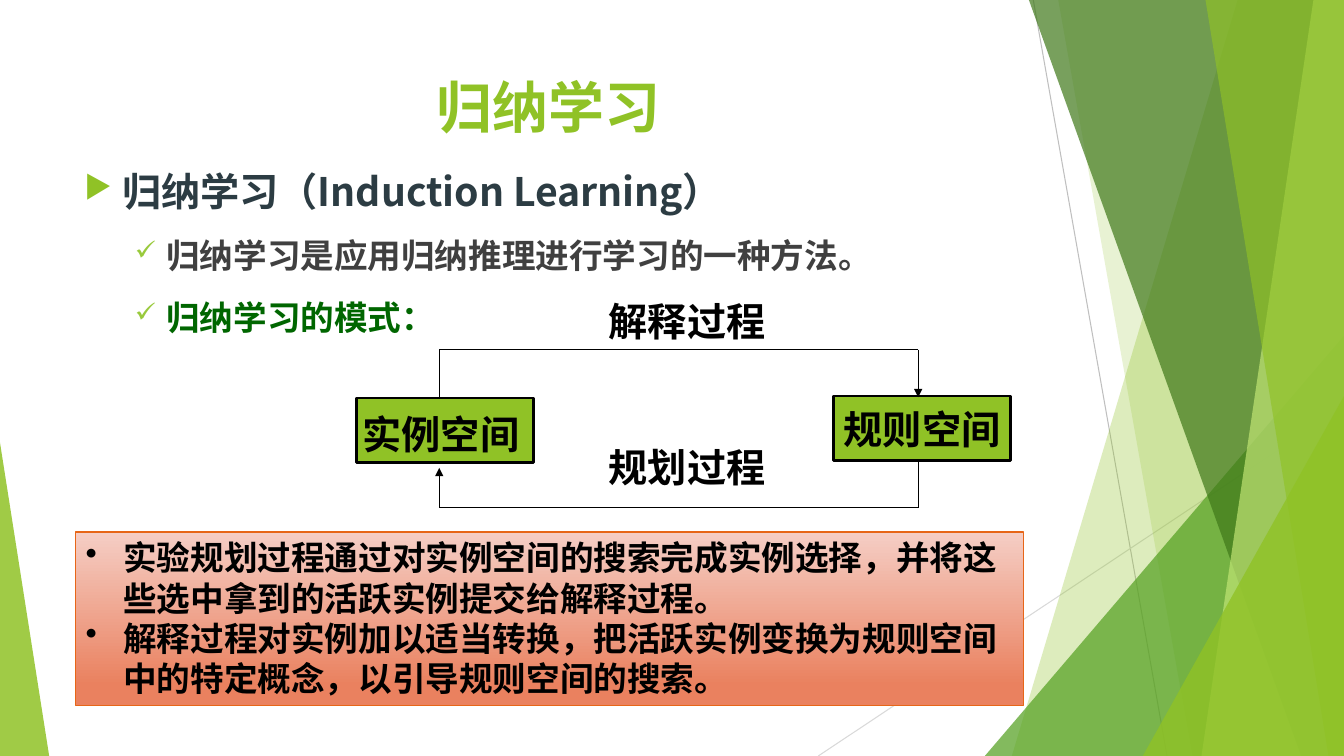
from dataclasses import dataclass
from typing import Optional

from lxml import etree
from pptx import Presentation
from pptx.dml.color import RGBColor
from pptx.enum import shapes, text
from pptx.oxml import ns
from pptx.util import Cm, Pt


@dataclass(frozen=True)
class Theme:
    font: str = "Noto Sans CJK SC"
    title: float = 40
    heading: float = 28
    body: float = 24
    green: str = "90C226"
    mid_green: str = "54A021"
    dark_green: str = "3F7819"
    pale_green: str = "C0E474"
    check: str = "99CA3C"
    slate: str = "2C3C43"
    gray: str = "404040"
    forest: str = "006600"
    black: str = "000000"
    rule: str = "BFBFBF"
    light_rule: str = "D9D9D9"
    note_top: str = "F5CEC5"
    note_bottom: str = "EA815F"
    note_edge: str = "E76618"


@dataclass(frozen=True)
class Facet:
    """A band whose slanted left edge runs from top_x to bottom_x."""
    top_x: float
    bottom_x: float
    color: str
    alpha: int


@dataclass(frozen=True)
class Wedge:
    """A right triangle standing on the bottom edge of the page."""
    left: float
    top: float
    right: float
    apex: int
    color: str
    alpha: int


@dataclass(frozen=True)
class Label:
    words: str
    left: float
    top: float
    height: float
    align: text.PP_ALIGN = text.PP_ALIGN.CENTER
    anchor: text.MSO_ANCHOR = text.MSO_ANCHOR.MIDDLE
    right_inset: float = 0.15
    boxed: bool = False


@dataclass(frozen=True)
class Bullet:
    char: str
    indent: float
    hanging: float
    color: Optional[str] = None
    percent: int = 100


THEME = Theme()
WIDTH, HEIGHT = 33.87, 19.05
LABEL_WIDTH = 4.45

deck = Presentation()
deck.slide_width, deck.slide_height = Cm(WIDTH), Cm(HEIGHT)
page = deck.slides.add_slide(deck.slide_layouts[6])


def add_node(parent, tag: str, **attributes: str):
    return etree.SubElement(parent, ns.qn(tag), attributes)


def rgb(color: str) -> RGBColor:
    return RGBColor.from_string(color)


def paint(shape, color: str, alpha: int = 100) -> None:
    shape.shadow.inherit = False
    shape.fill.solid()
    shape.fill.fore_color.rgb = rgb(color)
    shape.line.fill.background()
    if alpha < 100:
        node = shape._element.spPr.find(ns.qn("a:solidFill")).find(ns.qn("a:srgbClr"))
        add_node(node, "a:alpha", val=str(alpha * 1000))


def draw_facet(facet: Facet) -> None:
    outline = page.shapes.build_freeform(Cm(facet.top_x), 0)
    outline.add_line_segments([(Cm(WIDTH), 0), (Cm(WIDTH), Cm(HEIGHT)),
                               (Cm(facet.bottom_x), Cm(HEIGHT))], close=True)
    paint(outline.convert_to_shape(), facet.color, facet.alpha)


def draw_wedge(wedge: Wedge) -> None:
    shape = page.shapes.add_shape(
        shapes.MSO_SHAPE.ISOSCELES_TRIANGLE, Cm(wedge.left), Cm(wedge.top),
        Cm(wedge.right - wedge.left), Cm(HEIGHT - wedge.top))
    shape.adjustments[0] = wedge.apex
    paint(shape, wedge.color, wedge.alpha)


def draw_line(x1: float, y1: float, x2: float, y2: float, *,
              color: str = THEME.black, arrow: bool = False) -> None:
    line = page.shapes.add_connector(
        shapes.MSO_CONNECTOR.STRAIGHT, Cm(x1), Cm(y1), Cm(x2), Cm(y2))
    line.line.color.rgb = rgb(color)
    line.line.width = Pt(0.75)
    if arrow:
        add_node(line.line._get_or_add_ln(), "a:tailEnd", type="triangle")
    add_node(line._element.spPr, "a:effectLst")


def write(box, words: str, *, size: float, color: str = THEME.black,
          align: text.PP_ALIGN = text.PP_ALIGN.LEFT, bullet: Optional[Bullet] = None,
          before: float = 0, after: float = 0) -> None:
    """Fill the first empty paragraph of the box, or append one."""
    frame = box.text_frame
    frame.word_wrap = True
    para = frame.paragraphs[0] if not frame.text else frame.add_paragraph()
    if bullet:
        props = para._p.get_or_add_pPr()
        props.set("marL", str(Cm(bullet.indent)))
        props.set("indent", str(-Cm(bullet.hanging)))
        if bullet.color:
            add_node(add_node(props, "a:buClr"), "a:srgbClr", val=bullet.color)
        add_node(props, "a:buSzPct", val=str(bullet.percent * 1000))
        add_node(props, "a:buChar", char=bullet.char)
    para.alignment = align
    para.space_before, para.space_after = Pt(before), Pt(after)
    span = para.add_run()
    span.text = words
    span.font.size, span.font.bold = Pt(size), True
    span.font.name = THEME.font
    span.font.color.rgb = rgb(color)
    add_node(span._r.get_or_add_rPr(), "a:ea", typeface=THEME.font)


def draw_label(label: Label) -> None:
    place = Cm(label.left), Cm(label.top), Cm(LABEL_WIDTH), Cm(label.height)
    if label.boxed:
        box = page.shapes.add_shape(shapes.MSO_SHAPE.RECTANGLE, *place)
        paint(box, THEME.green)
        box.line.color.rgb = rgb(THEME.black)
        box.line.width = Pt(2)
    else:
        box = page.shapes.add_textbox(*place)
    frame = box.text_frame
    frame.margin_left, frame.margin_right = Cm(0.15), Cm(label.right_inset)
    frame.vertical_anchor = label.anchor
    write(box, label.words, size=THEME.heading, align=label.align)


def draw_backdrop() -> None:
    draw_line(26.04, 0, 29.41, HEIGHT, color=THEME.rule)
    draw_line(WIDTH, 10.24, 20.62, HEIGHT, color=THEME.light_rule)
    for piece in (
        Facet(31.19, 25.5, THEME.green, 30),
        Facet(26.67, 30.05, THEME.green, 20),
        Wedge(24.82, 8.46, WIDTH, 1, THEME.mid_green, 72),
        Facet(25.93, 32.79, THEME.dark_green, 70),
        Facet(33.1, 30.28, THEME.pale_green, 70),
        Facet(30.38, 33.48, THEME.green, 65),
        Wedge(28.8, 9.98, WIDTH, 1, THEME.green, 80),
        Wedge(0, 11.15, 1.24, 0, THEME.green, 85),
    ):
        if isinstance(piece, Facet):
            draw_facet(piece)
        else:
            draw_wedge(piece)


def draw_outline() -> None:
    title = page.shapes.add_textbox(Cm(1.88), Cm(1.7), Cm(23.88), Cm(3.66))
    write(title, "归纳学习", size=THEME.title, color=THEME.green, align=text.PP_ALIGN.CENTER)
    body = page.shapes.add_textbox(Cm(1.88), Cm(4.09), Cm(23.88), Cm(12.42))
    write(body, "归纳学习（Induction Learning）", size=THEME.heading, color=THEME.slate,
          bullet=Bullet("▶", 0.95, 0.95, THEME.green, 80), after=5)
    check = Bullet("✓", 2.06, 0.79, THEME.check, 80)
    for words, color in (("归纳学习是应用归纳推理进行学习的一种方法。", THEME.gray),
                         ("归纳学习的模式：", THEME.forest)):
        write(body, words, size=THEME.body, color=color, bullet=check, before=10, after=5)


def draw_cycle() -> None:
    for label in (
        Label("解释过程", 15.09, 7.49, 1.19),
        Label("实例空间", 8.99, 10.03, 1.63, text.PP_ALIGN.LEFT,
              text.MSO_ANCHOR.BOTTOM, boxed=True),
        Label("规则空间", 21.01, 9.98, 1.63, text.PP_ALIGN.RIGHT,
              right_inset=0.25, boxed=True),
        Label("规划过程", 15.09, 11.07, 1.4),
    ):
        draw_label(label)
    left, right, top, bottom = 11.07, 23.14, 8.81, 12.8
    draw_line(left, top, left, 10.01)
    draw_line(right, 11.61, right, bottom)
    for level in (top, bottom):
        draw_line(left, level, right, level)
    draw_line(right, top, right, 10.01, arrow=True)
    draw_line(left, bottom, left, 11.79, arrow=True)


def draw_note() -> None:
    note = page.shapes.add_shape(
        shapes.MSO_SHAPE.RECTANGLE, Cm(1.91), Cm(13.41), Cm(23.88), Cm(4.37))
    paint(note, THEME.note_top)
    note.fill.gradient()
    note.fill.gradient_angle = 270
    stops = ((0, THEME.note_top), (0.88, THEME.note_bottom))
    for stop, (position, color) in zip(note.fill.gradient_stops, stops):
        stop.position, stop.color.rgb = position, rgb(color)
    note.line.color.rgb = rgb(THEME.note_edge)
    note.line.width = Pt(1)
    note.text_frame.vertical_anchor = text.MSO_ANCHOR.TOP
    for words in ("实验规划过程通过对实例空间的搜索完成实例选择，并将这些选中拿到的活跃实例提交给解释过程。",
                  "解释过程对实例加以适当转换，把活跃实例变换为规则空间中的特定概念，以引导规则空间的搜索。"):
        write(note, words, size=THEME.body, bullet=Bullet("•", 0.95, 0.95))


draw_backdrop()
draw_outline()
draw_cycle()
draw_note()
deck.save("out.pptx")
